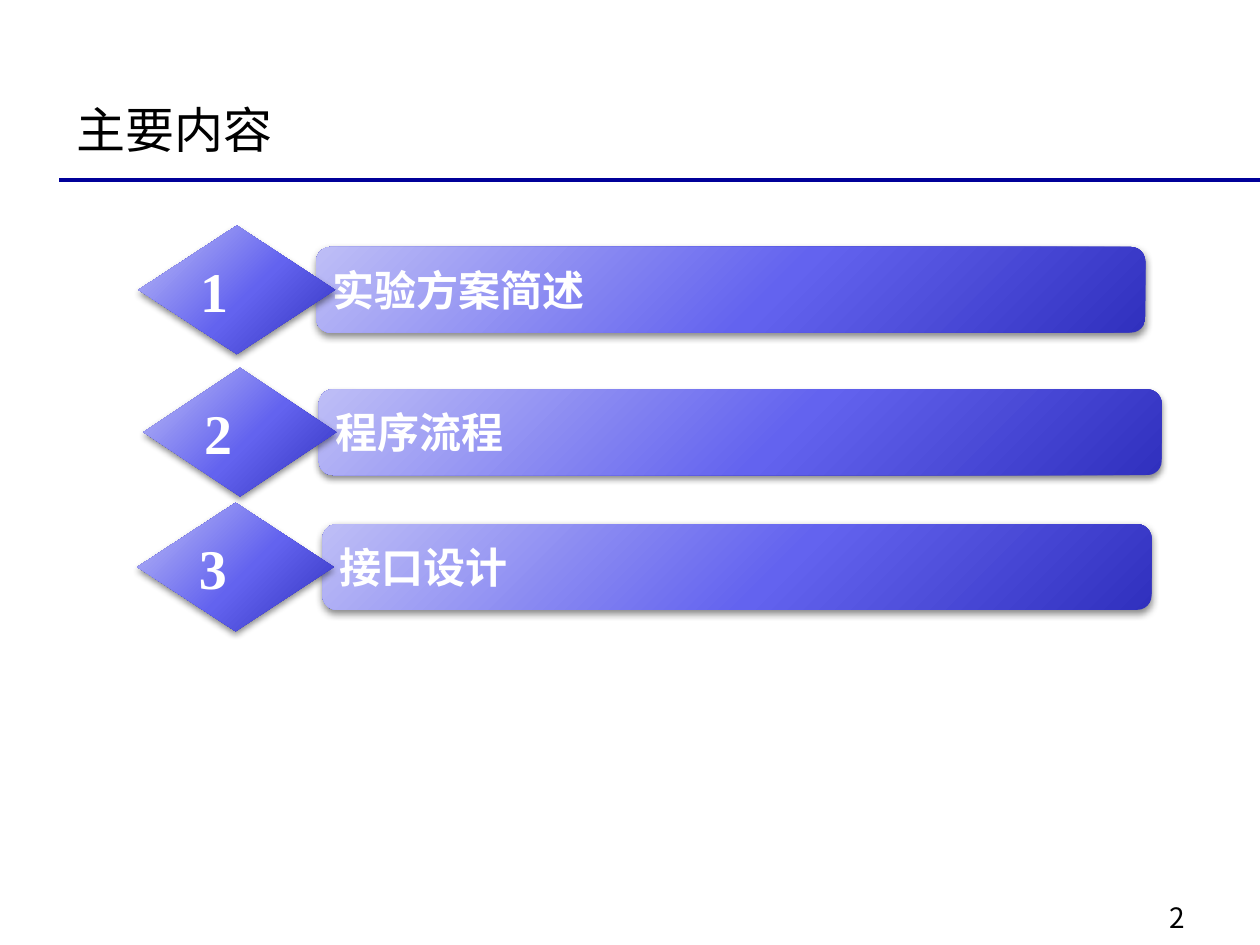
from lxml import etree
from pptx import Presentation
from pptx.dml.color import RGBColor
from pptx.enum.shapes import MSO_CONNECTOR, MSO_SHAPE
from pptx.enum.text import MSO_ANCHOR, PP_ALIGN
from pptx.oxml import parse_xml
from pptx.oxml.ns import nsdecls, qn
from pptx.util import Inches, Pt

COLORS = {
    "text": "000000", "rule": "000099", "label": "FFFFFF", "shadow": "000000",
    "light": "BEBEF6", "middle": "6363EF", "dark": "3030BE",
}
CHINESE_FONT = "Noto Sans CJK SC"
LATIN_FONT = "Times New Roman"

# Radial gradient centred beyond the top left corner
GRADIENT = (
    f'<a:gradFill {nsdecls("a")} rotWithShape="1"><a:gsLst>'
    + "".join(
        f'<a:gs pos="{position * 1000}"><a:srgbClr val="{COLORS[name]}"/></a:gs>'
        for position, name in ((0, "light"), (55, "middle"), (100, "dark"))
    )
    + '</a:gsLst><a:path path="circle">'
    '<a:fillToRect l="-40000" t="-90000" r="140000" b="190000"/>'
    "</a:path></a:gradFill>"
)
SHADOW = (
    f'<a:outerShdw {nsdecls("a")} blurRad="{Pt(4)}" dist="{Pt(2)}" '
    'dir="5400000" rotWithShape="0">'
    f'<a:srgbClr val="{COLORS["shadow"]}"><a:alpha val="45000"/></a:srgbClr>'
    "</a:outerShdw>"
)


class SlideBuilder:
    """Holds the style and the current slide."""

    title_style = {"size": Pt(28), "name": CHINESE_FONT, "bold": False}
    number_style = {"size": Pt(16), "name": CHINESE_FONT, "bold": False}
    bar_style = {"size": Pt(24), "name": LATIN_FONT, "bold": True}
    diamond_style = {"size": Pt(32), "name": LATIN_FONT, "bold": True}

    def __init__(self, presentation):
        self.slide = presentation.slides.add_slide(presentation.slide_layouts[6])

    def set_text(self, shape, text, style, color, anchor=MSO_ANCHOR.MIDDLE):
        frame = shape.text_frame
        frame.word_wrap = True
        frame.vertical_anchor = anchor
        paragraph = frame.paragraphs[0]
        paragraph.alignment = PP_ALIGN.LEFT
        run = paragraph.add_run()
        run.text = text
        for attribute, value in style.items():
            setattr(run.font, attribute, value)
        run.font.color.rgb = RGBColor.from_string(COLORS[color])
        east_asian = etree.SubElement(run.font._element, qn("a:ea"))
        east_asian.set("typeface", CHINESE_FONT)

    def text(self, box, text, style, anchor=MSO_ANCHOR.MIDDLE):
        shape = self.slide.shapes.add_textbox(*map(Inches, box))
        self.set_text(shape, text, style, "text", anchor)

    def rule(self, start, end):
        connector = self.slide.shapes.add_connector(
            MSO_CONNECTOR.STRAIGHT, *map(Inches, start + end))
        connector.line.color.rgb = RGBColor.from_string(COLORS["rule"])
        connector.line.width = Pt(2.25)
        etree.SubElement(connector._element.spPr, qn("a:effectLst"))

    def glossy_shape(self, group, kind, box, text, style):
        shape = group.shapes.add_shape(kind, *map(Inches, box))
        shape.fill.background()
        shape.line.fill.background()
        shape.shadow.inherit = False
        properties = shape._element.spPr
        properties.replace(properties.find(qn("a:noFill")), parse_xml(GRADIENT))
        properties.find(qn("a:effectLst")).append(parse_xml(SHADOW))
        self.set_text(shape, text, style, "label")

    def agenda_item(self, number, text, center, bar, diamond):
        """Bar and diamond share a centre line; each is (left, width)."""
        group = self.slide.shapes.add_group_shape()
        for kind, (left, width), height, label, style in (
            (MSO_SHAPE.ROUNDED_RECTANGLE, bar, 0.68, text, self.bar_style),
            (MSO_SHAPE.DIAMOND, diamond, 1.02, str(number), self.diamond_style),
        ):
            box = (left, center - height / 2, width, height)
            self.glossy_shape(group, kind, box, label, style)


def main():
    presentation = Presentation()
    presentation.slide_width = Inches(10)
    presentation.slide_height = Inches(7.5)
    builder = SlideBuilder(presentation)

    # Page number, rule and title
    builder.text((9.18, 7.1, 0.59, 0.37), "2", builder.number_style, MSO_ANCHOR.TOP)
    builder.rule((0.47, 1.43), (10, 1.43))
    builder.text((0.51, 0.68, 9, 0.69), "主要内容", builder.title_style)

    # Agenda: text, centre line, bar and diamond
    items = (
        ("实验方案简述", 2.3, (2.51, 6.58), (1.1, 1.56)),
        ("程序流程", 3.43, (2.53, 6.69), (1.14, 1.53)),
        ("接口设计", 4.5, (2.56, 6.58), (1.09, 1.56)),
    )
    for number, item in enumerate(items, start=1):
        builder.agenda_item(number, *item)

    presentation.save("out.pptx")


if __name__ == "__main__":
    main()
